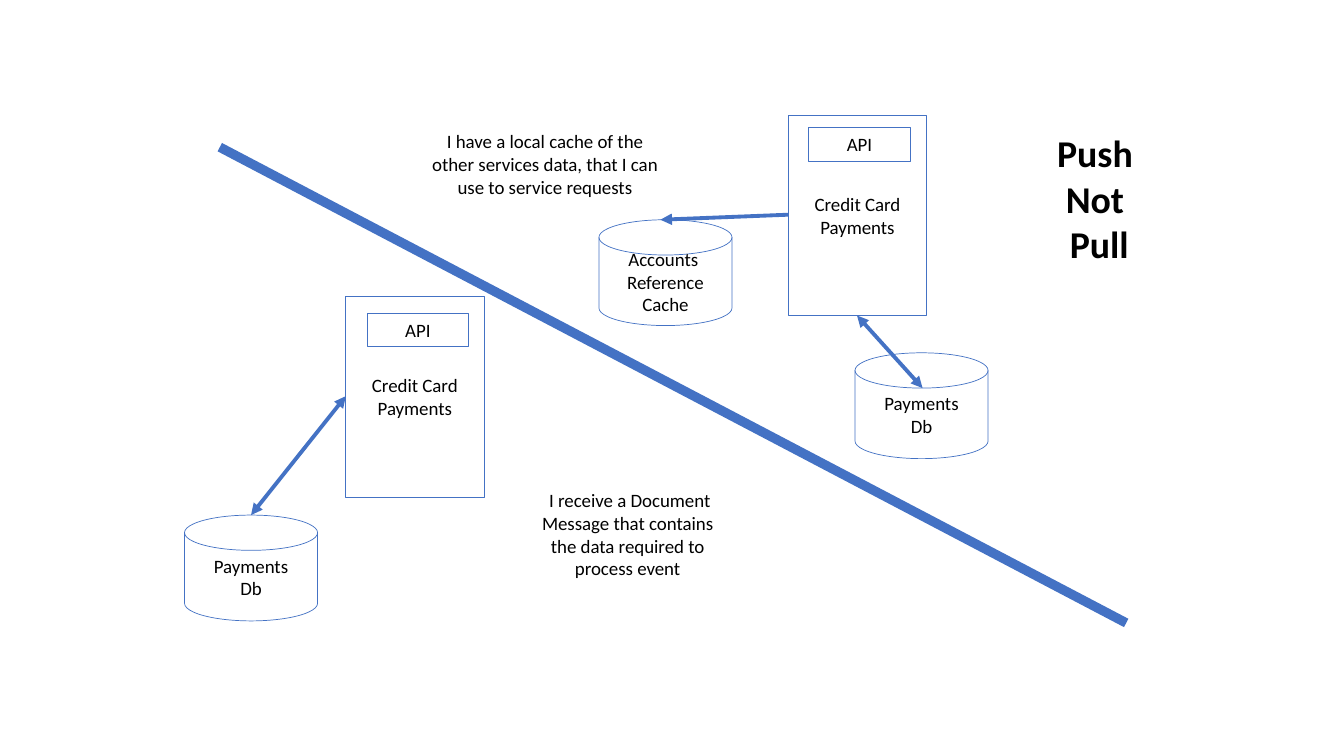
from lxml.etree import SubElement
from pptx import Presentation
from pptx.dml.color import RGBColor
from pptx.enum.shapes import MSO_CONNECTOR, MSO_SHAPE
from pptx.enum.text import MSO_ANCHOR, MSO_AUTO_SIZE, PP_ALIGN
from pptx.oxml.ns import qn
from pptx.util import Inches, Pt

BLUE = RGBColor(0x44, 0x72, 0xC4)
BLACK = RGBColor(0x00, 0x00, 0x00)


def write(frame, text, size=13.5, bold=False, anchor=MSO_ANCHOR.TOP, grow=False):
    """Fill a text frame with centred paragraphs, one for each line of text."""
    frame.word_wrap = True
    frame.vertical_anchor = anchor
    frame.auto_size = MSO_AUTO_SIZE.SHAPE_TO_FIT_TEXT if grow else MSO_AUTO_SIZE.NONE
    frame.text = text
    for paragraph in frame.paragraphs:
        paragraph.alignment = PP_ALIGN.CENTER
        for run in paragraph.runs:
            run.font.name = "Calibri"
            run.font.size = Pt(size)
            run.font.bold = bold
            run.font.color.rgb = BLACK


def add_title(slide, text, left, top, width, height):
    """Move the title placeholder into place and write the heading."""
    title = slide.shapes.title
    title.left, title.top = Inches(left), Inches(top)
    title.width, title.height = Inches(width), Inches(height)
    write(title.text_frame, text, size=27, bold=True, grow=True)


def add_note(slide, text, left, top, width, height):
    """Add a free-standing remark."""
    note = slide.shapes.add_textbox(
        Inches(left), Inches(top), Inches(width), Inches(height))
    write(note.text_frame, text, grow=True)


def add_outlined(slide, kind, text, left, top, width, height, weight=0.5, **text_format):
    """Add an unfilled, blue-outlined shape with a label."""
    outlined = slide.shapes.add_shape(
        kind, Inches(left), Inches(top), Inches(width), Inches(height))
    outlined.shadow.inherit = False
    outlined.fill.background()
    outlined.line.color.rgb = BLUE
    outlined.line.width = Pt(weight)
    write(outlined.text_frame, text, **text_format)


def add_store(slide, text, left, top):
    """Add a data store drawn as a cylinder."""
    add_outlined(slide, MSO_SHAPE.FLOWCHART_MAGNETIC_DISK, text, left, top,
                 1.32, 1.05, anchor=MSO_ANCHOR.MIDDLE)


def add_service(slide, left, top, api_left, api_top):
    """Add the payments service with its API box."""
    add_outlined(slide, MSO_SHAPE.RECTANGLE, "Credit Card\nPayments", left, top,
                 1.37, 1.99, anchor=MSO_ANCHOR.MIDDLE)
    add_outlined(slide, MSO_SHAPE.RECTANGLE, "API", api_left, api_top,
                 1.01, 0.33, weight=0.75, grow=True)


def add_line(slide, start, end, weight=2.75, arrows=()):
    """Add a straight blue line with arrowheads at the named ends."""
    line = slide.shapes.add_connector(
        MSO_CONNECTOR.STRAIGHT, *map(Inches, start), *map(Inches, end))
    line.line.color.rgb = BLUE
    line.line.width = Pt(weight)
    outline = line.line._get_or_add_ln()
    for arrow in arrows:
        SubElement(outline, qn(f"a:{arrow}"), type="triangle")
    SubElement(line._element.spPr, qn("a:effectLst"))


def main():
    """Build the slide and save it."""
    deck = Presentation()
    deck.slide_width, deck.slide_height = Inches(13.33), Inches(7.5)
    slide = deck.slides.add_slide(deck.slide_layouts[5])
    both_ends = ("headEnd", "tailEnd")

    add_title(slide, "Push\nNot\n Pull", 10.12, 1.24, 1.48, 1.46)
    add_line(slide, (2.18, 1.46), (11.17, 6.18), weight=6.75)

    add_note(slide, "I have a local cache of the other services data, "
             "that I can use to service requests", 4.14, 1.24, 2.53, 0.78)
    add_store(slide, "Accounts \nReference\nCache", 5.94, 2.18)
    add_service(slide, 7.82, 1.14, 8.02, 1.27)
    add_store(slide, "Payments\nDb", 8.48, 3.5)
    add_line(slide, (6.55, 2.18), (7.82, 2.13), arrows=("headEnd",))
    add_line(slide, (8.5, 3.13), (9.15, 3.85), arrows=both_ends)

    add_note(slide, " I receive a Document Message that contains "
             "the data required to process event", 5.19, 4.8, 2.07, 1.01)
    add_service(slide, 3.43, 2.94, 3.64, 3.11)
    add_store(slide, "Payments\nDb", 1.83, 5.11)
    add_line(slide, (3.43, 3.93), (2.49, 5.11), arrows=both_ends)

    deck.save("out.pptx")


if __name__ == "__main__":
    main()
